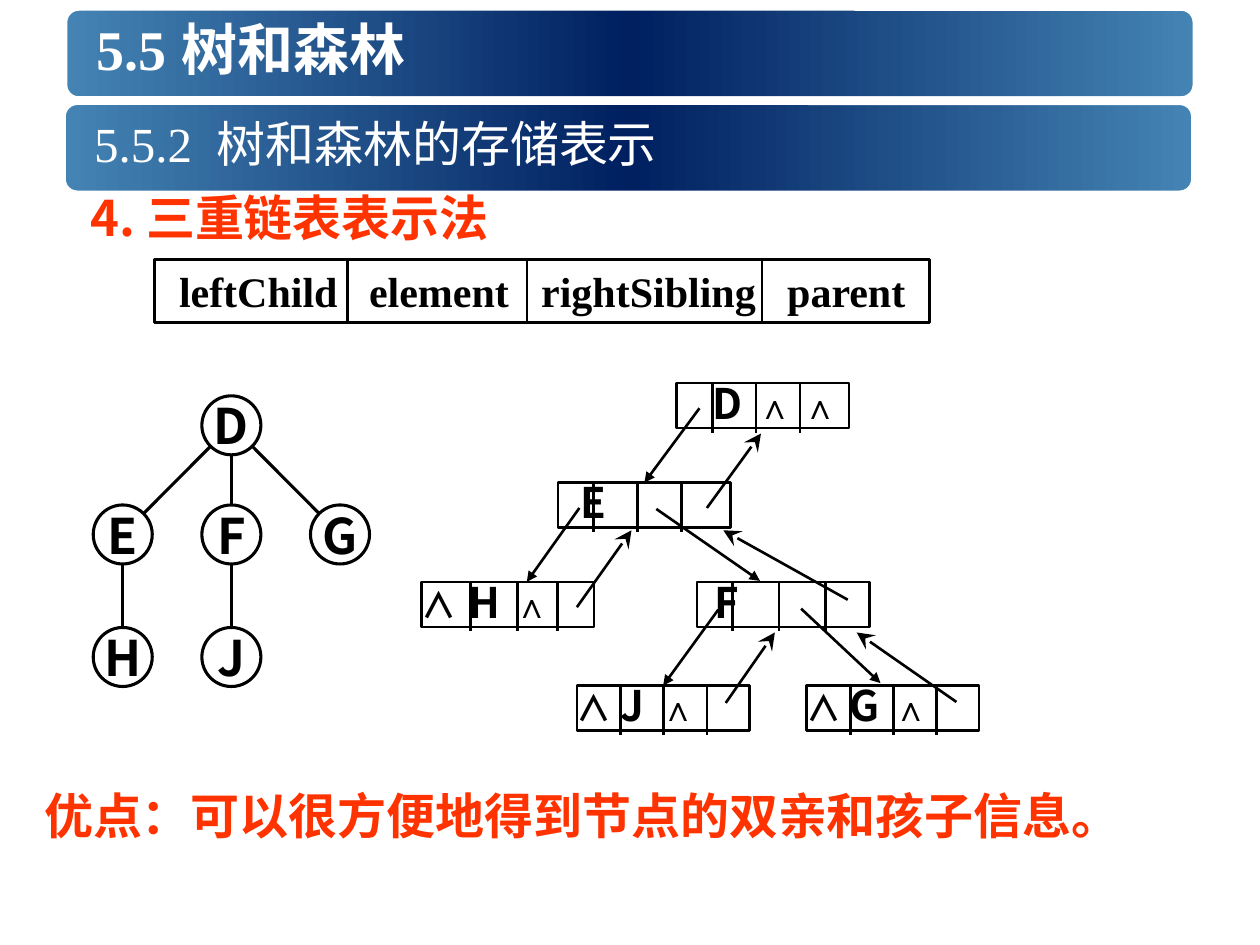
import copy
import math

import pptx
import pptx.dml.color
import pptx.enum.shapes
import pptx.enum.text
import pptx.oxml
import pptx.oxml.ns
import pptx.util

Cm = pptx.util.Cm
Pt = pptx.util.Pt
SHAPE = pptx.enum.shapes.MSO_SHAPE
ALIGN = pptx.enum.text.PP_ALIGN
ANCHOR = pptx.enum.text.MSO_ANCHOR

HAN = "Noto Sans CJK SC"
TIMES = "Times New Roman"
BLACK, WHITE, RED = "000000", "FFFFFF", "FF3300"
NODE_WIDTH, NODE_HEIGHT, DIVIDER = 3.48, 0.91, 1.0
CIRCLE, COLUMN_STEP = 1.19, 2.19

TREE_NODES = {"D": (1, 0), "E": (0, 2.2), "F": (1, 2.2), "G": (2, 2.2),
              "H": (0, 4.67), "J": (1, 4.67)}
TREE_EDGES = ["DE", "DF", "DG", "EH", "FJ"]

WEDGE = ("∧", 20, HAN)
NODES = {
    "D": ((5.14, 0.02), (0.72, 1.6, 2.49), None, 0.73, (1.63, 2.54)),
    "E": ((2.75, 2.03), (0.72, 1.6, 2.49), None, 0.46, ()),
    "H": ((0, 4.03), (0.99, 1.93, 2.74), WEDGE, 0.95, (1.87,)),
    "F": ((5.55, 4.03), (0.71, 1.65, 2.59), None, 0.35, ()),
    "J": ((3.13, 6.12), (0.88, 1.75, 2.62), WEDGE, 0.87, (1.69,)),
    "G": ((7.76, 6.12), (0.88, 1.75, 2.62), WEDGE, 0.87, (1.75,)),
}
CHILD_LINKS = [
    ((5.6, 0.53), (4.53, 2.03), "E"), ((3.18, 2.54), (2.12, 4.03), None),
    ((5.98, 4.59), (4.91, 6.09), "J"), ((4.73, 2.56), (6.82, 4.01), None),
    ((7.65, 4.57), (9.25, 6.07), None),
]
PARENT_LINKS = [
    ((5.75, 2.54), (6.84, 1.04)), ((3.13, 4.54), (4.23, 2.99)),
    ((8.59, 4.39), (6.08, 2.99)), ((6.13, 6.47), (7.12, 5.05)),
    ((10.78, 6.45), (8.77, 5.05)),
]


def rgb(value):
    return pptx.dml.color.RGBColor.from_string(value)


def apply(target, values):
    for name, value in values.items():
        setattr(target, name, value)


def xml(parent, tag, **attributes):
    child = parent.makeelement(pptx.oxml.ns.qn(tag), attributes)
    parent.append(child)
    return child


def write(shape, runs, color, bold=True, tabs=(), paragraph=None, **frame_values):
    frame = shape.text_frame
    apply(frame, {"word_wrap": True, "auto_size": pptx.enum.text.MSO_AUTO_SIZE.NONE,
                  "vertical_anchor": ANCHOR.TOP, **frame_values})
    line = frame.paragraphs[0]
    if tabs:
        tab_list = xml(line._p.get_or_add_pPr(), "a:tabLst")
        for stop in tabs:
            xml(tab_list, "a:tab", pos=str(Cm(stop)), algn="l")
    apply(line, {"alignment": ALIGN.LEFT, **(paragraph or {})})
    for text, size, face in runs:
        run = line.add_run()
        run.text = text
        apply(run.font, {"size": Pt(size), "bold": bold, "name": face})
        run.font.color.rgb = rgb(color)
        xml(run.font._element, "a:ea", typeface=HAN if face == TIMES else face)


def outline(shape, width):
    shape.shadow.inherit = False
    shape.fill.background()
    shape.line.color.rgb = rgb(BLACK)
    shape.line.width = Pt(width)


def connect(slide, start, end, width=1.5, head=None, size="med"):
    link = slide.shapes.add_connector(pptx.enum.shapes.MSO_CONNECTOR.STRAIGHT,
                                      *map(Cm, (*start, *end)))
    link.line.color.rgb = rgb(BLACK)
    link.line.width = Pt(width)
    if head:
        xml(link.line._get_or_add_ln(), "a:tailEnd", type=head, w=size, len=size)
    xml(link.element.spPr, "a:effectLst")
    return link


def banner(slide, left, top, width, height):
    bar = slide.shapes.add_shape(SHAPE.ROUNDED_RECTANGLE, *map(Cm, (left, top, width, height)))
    bar.shadow.inherit = False
    bar.fill.gradient()
    bar.fill.gradient_angle = 0
    stops = bar.element.spPr.find(".//" + pptx.oxml.ns.qn("a:gsLst"))
    stops.append(copy.deepcopy(stops[-1]))
    for stop, position, color in zip(bar.fill.gradient_stops, (0, 0.5, 1),
                                     ("4484B4", "002060", "4484B4")):
        stop.position = position
        stop.color.rgb = rgb(color)
    bar.line.color.rgb = rgb(WHITE)
    bar.line.width = Pt(5)
    return bar


def textbox(slide, left, top, width, height, runs, color, **values):
    box = slide.shapes.add_textbox(*map(Cm, (left, top, width, height)))
    write(box, runs, color, **values)


def headings(slide, left, top, width, height):
    bar = banner(slide, left, top, width, height)
    title = slide.shapes.title
    title.element.addprevious(bar.element)
    apply(title, {"left": Cm(left + 0.43), "top": Cm(top),
                  "width": Cm(22.22), "height": Cm(1.7)})
    write(title, [("5.5 树和森林", 32, TIMES)], WHITE, vertical_anchor=ANCHOR.MIDDLE)
    banner(slide, left - 0.03, top + height, width, height)
    textbox(slide, left + 0.38, top + height, 22.22, 1.7,
            [("5.5.2  树和森林的存储表示", 28, TIMES)], WHITE, bold=False,
            vertical_anchor=ANCHOR.MIDDLE)


def field_record(slide, left, top, width, height):
    record = slide.shapes.add_shape(SHAPE.RECTANGLE, *map(Cm, (left, top, width, height)))
    outline(record, 1.5)
    write(record, [("leftChild\telement\trightSibling\tparent", 24, TIMES)], BLACK,
          tabs=(3.83, 7.3, 12.26), margin_left=Cm(0.49), margin_right=Cm(0))
    for offset in (3.89, 7.5, 12.24):
        connect(slide, (left + offset, top), (left + offset, top + height + 0.03))


def tree(slide, left, top):
    radius = CIRCLE / 2
    centres = {}
    for letter, (column, row) in TREE_NODES.items():
        x, y = left + column * COLUMN_STEP, top + row
        centres[letter] = (x + radius, y + radius)
        circle = slide.shapes.add_shape(SHAPE.OVAL, *map(Cm, (x, y, CIRCLE, CIRCLE)))
        outline(circle, 1.75)
        write(circle, [(letter, 28, HAN)], BLACK, paragraph={"alignment": ALIGN.CENTER},
              word_wrap=False, vertical_anchor=ANCHOR.MIDDLE)
    for parent, child in TREE_EDGES:
        (x1, y1), (x2, y2) = centres[parent], centres[child]
        share = radius / math.dist((x1, y1), (x2, y2))
        dx, dy = (x2 - x1) * share, (y2 - y1) * share
        connect(slide, (x1 + dx, y1 + dy), (x2 - dx, y2 - dy),
                1.75 if parent == "D" else 1.5)


def linked_node(slide, left, top, letter, dividers, first, letter_at, wedges):
    node = slide.shapes.add_shape(SHAPE.RECTANGLE,
                                  *map(Cm, (left, top, NODE_WIDTH, NODE_HEIGHT)))
    outline(node, 1.5)
    runs = [first] if first else []
    runs += [("\t" + letter, 24, HAN)] + [("\t∧", 20, "Arial") for _ in wedges]
    margins = {"margin_" + side: Cm(0) for side in ("left", "top", "right", "bottom")}
    write(node, runs, BLACK, tabs=(letter_at, *wedges),
          paragraph={"line_spacing": 0.9}, **margins)
    for offset in dividers:
        connect(slide, (left + offset, top), (left + offset, top + DIVIDER))
    return node


def linked_list(slide, left, top):
    def place(point):
        return left + point[0], top + point[1]

    nodes = {letter: linked_node(slide, *place(corner), letter, *parts)
             for letter, (corner, *parts) in NODES.items()}
    for start, end, child in CHILD_LINKS:
        link = connect(slide, place(start), place(end), head="triangle")
        if child:
            link.end_connect(nodes[child], 0)
    for start, end in PARENT_LINKS:
        connect(slide, place(start), place(end), head="stealth", size="lg")


def main():
    deck = pptx.Presentation()
    apply(deck, {"slide_width": Cm(25.4), "slide_height": Cm(19.05)})
    slide = deck.slides.add_slide(deck.slide_layouts[5])
    headings(slide, 1.27, 0.13, 22.86, 1.9)
    textbox(slide, 1.57, 3.66, 14.4, 1.45, [("4. 三重链表表示法", 28, HAN)], RED)
    field_record(slide, 3.12, 5.23, 15.62, 1.27)
    tree(slide, 1.88, 7.98)
    linked_list(slide, 8.5, 7.7)
    textbox(slide, 0.64, 15.72, 23.06, 1.45,
            [("优点：可以很方便地得到节点的双亲和孩子信息。", 28, HAN)], RED)
    deck.save("out.pptx")


if __name__ == "__main__":
    main()
